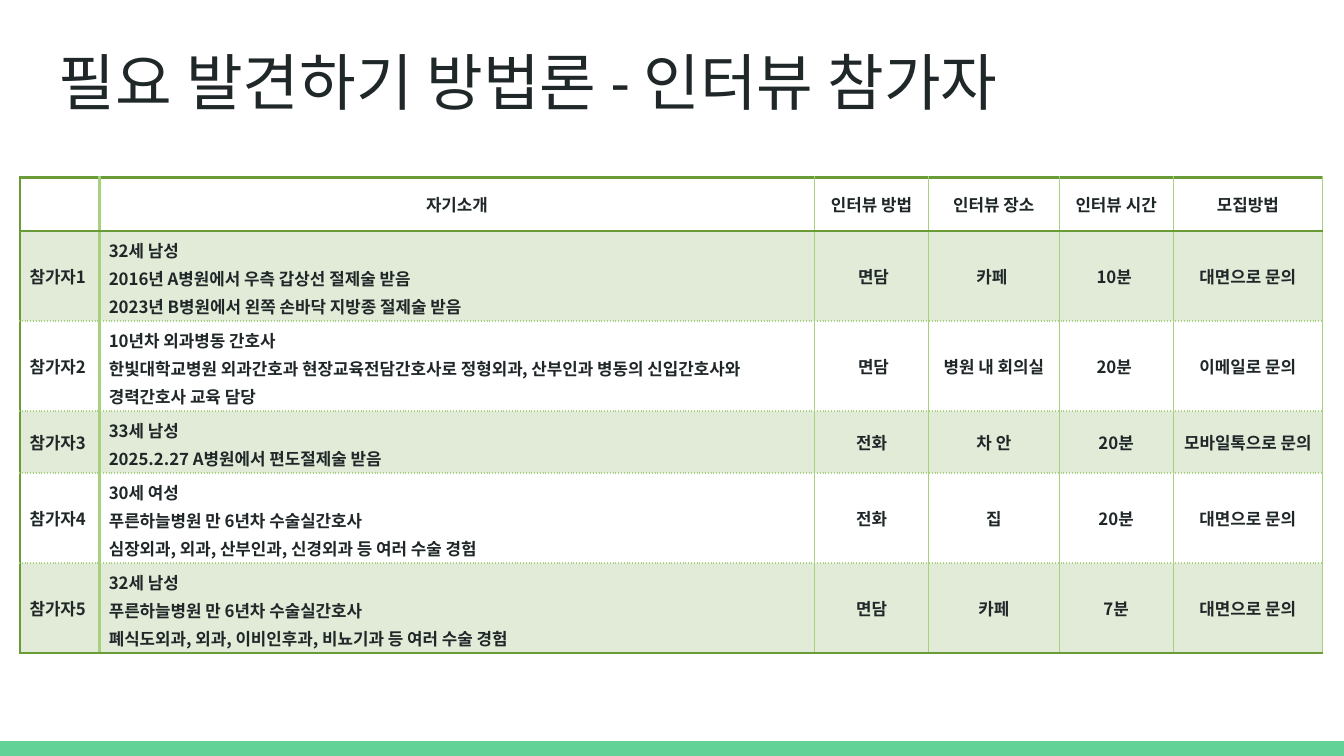
from dataclasses import dataclass

from lxml.etree import SubElement
from pptx import Presentation
from pptx.dml.color import RGBColor
from pptx.enum.shapes import MSO_SHAPE as Shape
from pptx.enum.text import MSO_ANCHOR as Anchor, PP_ALIGN as Align
from pptx.oxml.ns import qn
from pptx.util import Inches, Pt

INK, GREEN, WHITE, PALE = "202729", "63D297", "FFFFFF", "E1EBD7"
SLIDE_WIDTH = Inches(10)
SLIDE_HEIGHT = SLIDE_WIDTH * 9 // 16
COLUMN_WIDTHS = [0.59, 5.32, 0.85, 0.97, 0.85, 1.11]
ROW_HEIGHTS = [0.4, 0.67, 0.67, 0.46, 0.67, 0.67]
HEADINGS = ["", "자기소개", "인터뷰 방법", "인터뷰 장소", "인터뷰 시간", "모집방법"]
TITLE_FONT = {"name": "Calibri", "size": Pt(33), "bold": False}
TABLE_FONT = {"name": "Noto Sans CJK KR", "size": Pt(9), "bold": True}
CELL_FORMAT = {
    "vertical_anchor": Anchor.MIDDLE,
    "margin_left": Inches(0.07),
    "margin_right": Inches(0.07),
    "margin_top": Inches(0.02),
    "margin_bottom": Inches(0.02),
}
INTRODUCTION_FORMAT = {"line_spacing": 1.15}


@dataclass
class Participant:
    introduction: list[str]
    answers: list[str]
    spacing: float = 12


@dataclass
class Border:
    color: str
    width: float
    dash: str = "solid"


STRONG = Border("699B37", 1.5)
MEDIUM = Border("A7D17E", 1.5)
THIN = Border("A7D17E", 0.5)
DOTTED = Border("A7D17E", 1, "dot")

PARTICIPANTS = [
    Participant(
        ["32세 남성", "2016년 A병원에서 우측 갑상선 절제술 받음",
         "2023년 B병원에서 왼쪽 손바닥 지방종 절제술 받음"],
        [" 면담", "카페 ", "10분 ", "대면으로 문의"], 7),
    Participant(
        ["10년차 외과병동 간호사",
         "한빛대학교병원 외과간호과 현장교육전담간호사로 정형외과, "
         "산부인과 병동의 신입간호사와 경력간호사 교육 담당"],
        [" 면담", "병원 내 회의실", "20분 ", "이메일로 문의"], 7),
    Participant(
        ["33세 남성", "2025.2.27 A병원에서 편도절제술 받음"],
        ["전화", "차 안", "20분", "모바일톡으로 문의"]),
    Participant(
        ["30세 여성", "푸른하늘병원 만 6년차 수술실간호사",
         "심장외과, 외과, 산부인과, 신경외과 등 여러 수술 경험"],
        ["전화", "집", "20분", "대면으로 문의"]),
    Participant(
        ["32세 남성", "푸른하늘병원 만 6년차 수술실간호사",
         "폐식도외과, 외과, 이비인후과, 비뇨기과 등 여러 수술 경험"],
        ["면담", "카페", "7분", "대면으로 문의"]),
]


def color(value: str) -> RGBColor:
    return RGBColor.from_string(value)


def apply_format(target, values: dict) -> None:
    for name, value in values.items():
        setattr(target, name, value)


def write_lines(text_frame, lines: list[str], font: dict, layout: dict) -> None:
    for index, line in enumerate(lines):
        paragraph = text_frame.add_paragraph() if index else text_frame.paragraphs[0]
        apply_format(paragraph, layout)
        run = paragraph.add_run()
        run.text = line
        apply_format(run.font, font)
        run.font.color.rgb = color(INK)
        run.font._element.set("kern", "0")
        SubElement(run.font._element, qn("a:ea"), typeface=font["name"])


def add_border(cell, side: str, border: Border) -> None:
    properties = cell._tc.get_or_add_tcPr()
    line = SubElement(properties, qn(f"a:ln{side}"), w=str(Pt(border.width)))
    fill = SubElement(line, qn("a:solidFill"))
    SubElement(fill, qn("a:srgbClr"), val=border.color)
    SubElement(line, qn("a:prstDash"), val=border.dash)


def fill_cell(cell, lines: list[str], layout: dict, background: str,
              borders: dict[str, Border]) -> None:
    apply_format(cell, CELL_FORMAT)
    write_lines(cell.text_frame, lines, TABLE_FONT, layout)
    for side, border in borders.items():
        add_border(cell, side, border)
    cell.fill.solid()
    cell.fill.fore_color.rgb = color(background)


def spaced(points: float, alignment: Align) -> dict:
    return {"alignment": alignment, "space_before": Pt(points), "space_after": Pt(points)}


def table_rows() -> list[list[tuple[list[str], dict]]]:
    rows = [[([heading], spaced(12, Align.CENTER)) for heading in HEADINGS]]
    for number, participant in enumerate(PARTICIPANTS, 1):
        label = ([f"참가자{number}"], spaced(12, Align.LEFT))
        introduction = (participant.introduction, INTRODUCTION_FORMAT)
        answer_format = spaced(participant.spacing, Align.CENTER)
        answers = [([answer], answer_format) for answer in participant.answers]
        rows.append([label, introduction, *answers])
    return rows


def add_participant_table(slide) -> None:
    rows = table_rows()
    table = slide.shapes.add_table(
        len(rows), len(COLUMN_WIDTHS), Inches(0.15), Inches(1.32),
        Inches(sum(COLUMN_WIDTHS)), Inches(sum(ROW_HEIGHTS))).table
    apply_format(table, {"first_row": False, "horz_banding": False})
    for column, width in zip(table.columns, COLUMN_WIDTHS):
        column.width = Inches(width)
    for row, height in zip(table.rows, ROW_HEIGHTS):
        row.height = Inches(height)

    vertical = [STRONG, MEDIUM] + [THIN] * (len(COLUMN_WIDTHS) - 1)
    horizontal = [STRONG, STRONG] + [DOTTED] * (len(PARTICIPANTS) - 1) + [STRONG]
    for r, row in enumerate(rows):
        for c, (lines, layout) in enumerate(row):
            borders = {"L": vertical[c], "R": vertical[c + 1],
                       "T": horizontal[r], "B": horizontal[r + 1]}
            fill_cell(table.cell(r, c), lines, layout, PALE if r % 2 else WHITE, borders)


def add_title(slide, text: str) -> None:
    shape = slide.shapes.add_textbox(Inches(0.34), Inches(0.23), Inches(9.32), Inches(0.63))
    margins = {f"margin_{side}": Inches(0.1) for side in ("left", "top", "right", "bottom")}
    apply_format(shape.text_frame, {"word_wrap": True, **margins})
    write_lines(shape.text_frame, [text], TITLE_FONT, {"alignment": Align.LEFT})


def add_footer_bar(slide) -> None:
    height = Inches(0.11)
    shape = slide.shapes.add_shape(
        Shape.RECTANGLE, 0, SLIDE_HEIGHT - height, SLIDE_WIDTH, height)
    shape.shadow.inherit = False
    shape.fill.solid()
    shape.fill.fore_color.rgb = color(GREEN)
    shape.line.fill.background()


def main() -> None:
    presentation = Presentation()
    apply_format(presentation, {"slide_width": SLIDE_WIDTH, "slide_height": SLIDE_HEIGHT})
    slide = presentation.slides.add_slide(presentation.slide_layouts[6])
    add_footer_bar(slide)
    add_title(slide, "필요 발견하기 방법론 - 인터뷰 참가자")
    add_participant_table(slide)
    presentation.save("out.pptx")


if __name__ == "__main__":
    main()
